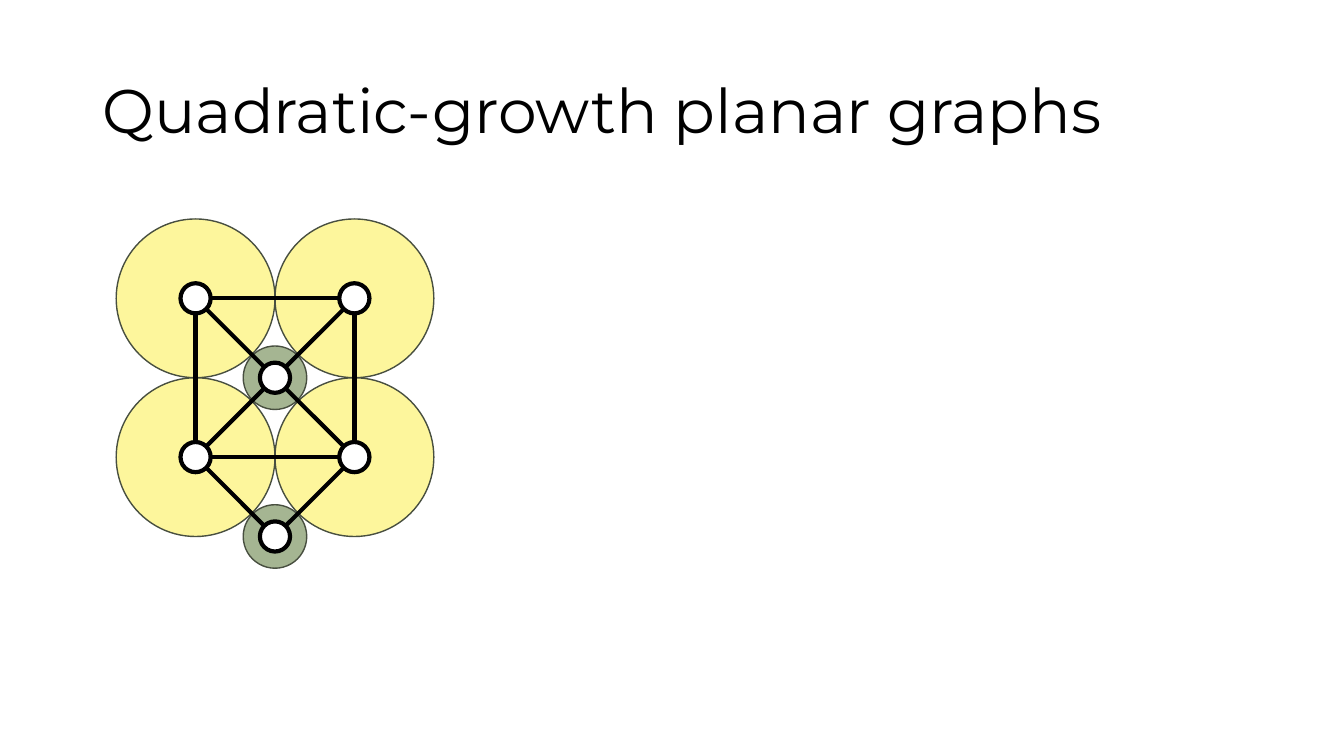
import pptx
import pptx.dml.color
import pptx.enum.shapes
import pptx.enum.text
import pptx.oxml.ns
import pptx.util
from lxml import etree

COLORS = {"ink": "000000", "outline": "484F40", "corner": "FDF69C",
          "center": "A5B592", "vertex": "FFFFFF"}

# Grid: one column or row is the distance between neighbouring corners
STEP = 1.575
LEFT, TOP = 1.94, 2.96

# Vertices as (column, row)
CORNERS = {"nw": (0, 0), "ne": (1, 0), "sw": (0, 1), "se": (1, 1)}
CENTERS = {"mid": (0.5, 0.5), "low": (0.5, 1.5)}
VERTICES = {**CORNERS, **CENTERS}
EDGES = ["nw ne", "sw se", "nw sw", "ne se", "nw mid", "ne mid",
         "mid sw", "mid se", "sw low", "se low"]

# Disk diameters in grid steps
CORNER_DISK, CENTER_DISK, VERTEX_DISK = 1, 0.4, 0.19

TITLE_FRAME = {"word_wrap": True,
               "vertical_anchor": pptx.enum.text.MSO_ANCHOR.MIDDLE}
TITLE_FONT = {"name": "Montserrat", "size": pptx.util.Pt(44)}


def rgb(color):
    return pptx.dml.color.RGBColor.from_string(COLORS[color])


def grid_point(column, row):
    return (pptx.util.Inches(LEFT + column * STEP),
            pptx.util.Inches(TOP + row * STEP))


def set_line(line, color, width):
    line.color.rgb = rgb(color)
    line.width = pptx.util.Pt(width)


def add_title(slide, wording):
    title = slide.shapes.add_textbox(
        *map(pptx.util.Inches, (0.92, 0.4, 11.5, 1.45)))
    frame = title.text_frame
    for name, value in TITLE_FRAME.items():
        setattr(frame, name, value)
    heading = frame.paragraphs[0]
    heading.line_spacing = 0.9
    heading.text = wording
    font = heading.runs[0].font
    for name, value in TITLE_FONT.items():
        setattr(font, name, value)
    font.color.rgb = rgb("ink")


def add_disk(slide, place, diameter, fill, outline, width):
    column, row = place
    size = pptx.util.Inches(diameter * STEP)
    disk = slide.shapes.add_shape(
        pptx.enum.shapes.MSO_SHAPE.OVAL,
        *grid_point(column - diameter / 2, row - diameter / 2), size, size)
    disk.shadow.inherit = False
    disk.fill.solid()
    disk.fill.fore_color.rgb = rgb(fill)
    set_line(disk.line, outline, width)


def add_edge(slide, start, end):
    edge = slide.shapes.add_connector(
        pptx.enum.shapes.MSO_CONNECTOR.STRAIGHT,
        *grid_point(*start), *grid_point(*end))
    set_line(edge.line, "ink", 3)
    # An empty effect list removes the shadow
    properties = edge._element.find(pptx.oxml.ns.qn("p:spPr"))
    etree.SubElement(properties, pptx.oxml.ns.qn("a:effectLst"))


def main():
    deck = pptx.Presentation()
    deck.slide_width = pptx.util.Inches(13.33)
    deck.slide_height = pptx.util.Inches(7.5)
    slide = deck.slides.add_slide(deck.slide_layouts[6])

    add_title(slide, "Quadratic-growth planar graphs")

    # Circle packing
    for place in CORNERS.values():
        add_disk(slide, place, CORNER_DISK, "corner", "outline", 1)
    for place in CENTERS.values():
        add_disk(slide, place, CENTER_DISK, "center", "outline", 1)

    # Graph over the packing
    for edge in EDGES:
        start, end = edge.split()
        add_edge(slide, VERTICES[start], VERTICES[end])
    for place in VERTICES.values():
        add_disk(slide, place, VERTEX_DISK, "vertex", "ink", 3)

    deck.save("out.pptx")


if __name__ == "__main__":
    main()
